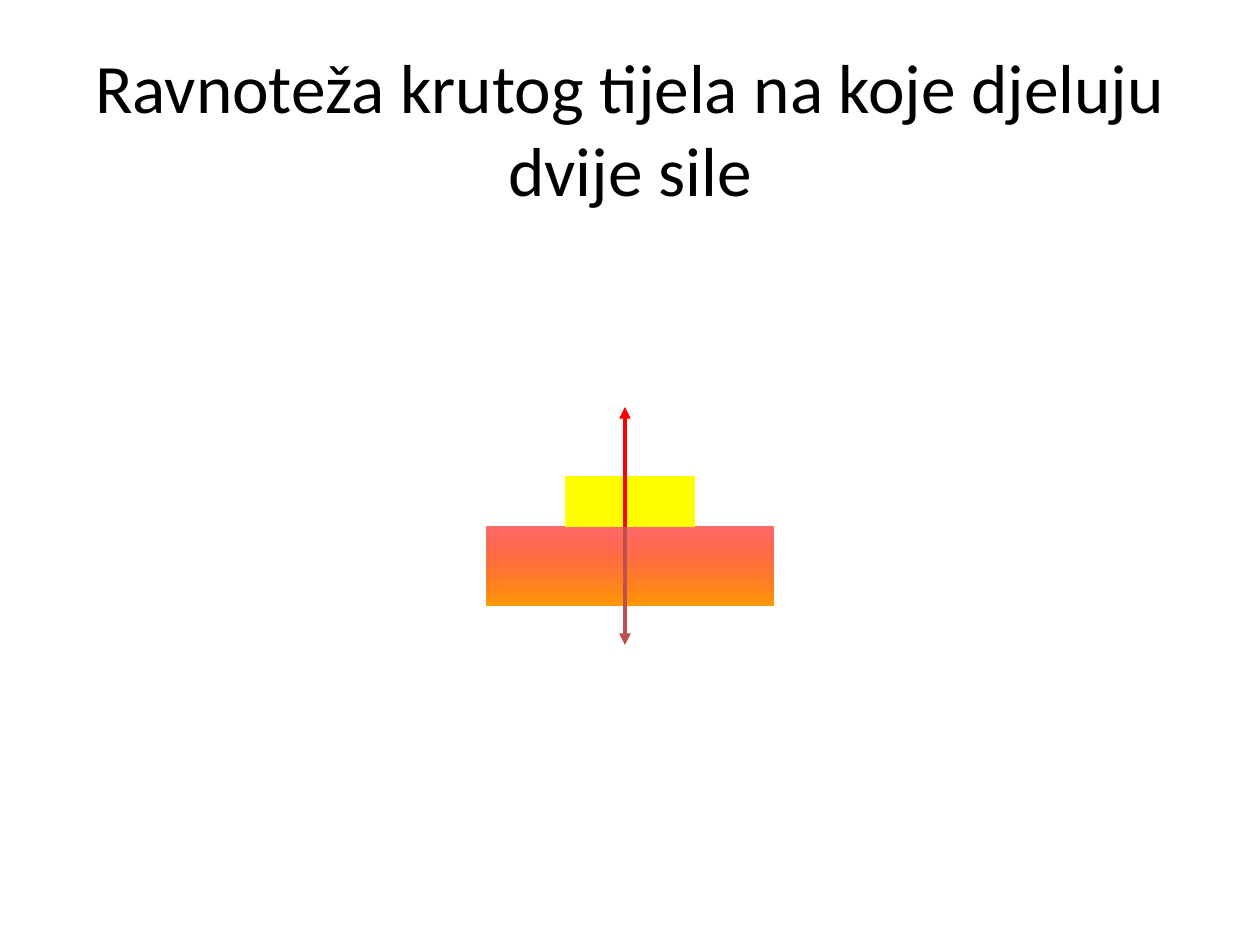
"""Build a slide on a rigid body in balance under two forces."""
from lxml import etree
from pptx import Presentation
from pptx.dml.color import RGBColor
from pptx.enum import shapes, text
from pptx.oxml.ns import qn
from pptx.util import Inches, Pt


def color(value):
    """Return the colour for a hex string."""
    return RGBColor.from_string(value)


def write(box, content, size=18, font="Calibri", fill="000000",
          align=text.PP_ALIGN.CENTER, anchor=text.MSO_ANCHOR.TOP):
    """Put one formatted paragraph into a box."""
    frame = box.text_frame
    frame.word_wrap = True
    frame.auto_size = text.MSO_AUTO_SIZE.NONE
    frame.vertical_anchor = anchor
    para = frame.paragraphs[0]
    para.alignment = align
    span = para.add_run()
    span.text = content
    span.font.size = Pt(size)
    span.font.name = font
    span.font.color.rgb = color(fill)


def add_title(page, content, left, top, width, height, **style):
    """Place and fill the title placeholder."""
    title = page.shapes.title
    title.left, title.top = Inches(left), Inches(top)
    title.width, title.height = Inches(width), Inches(height)
    write(title, content, **style)


def add_block(page, left, top, width, height):
    """Add a rectangle without shadow or outline."""
    block = page.shapes.add_shape(
        shapes.MSO_SHAPE.RECTANGLE,
        Inches(left), Inches(top), Inches(width), Inches(height))
    block.shadow.inherit = False
    block.line.fill.background()
    return block


def fill_gradient(block, upper, lower, upper_opacity):
    """Shade a block from a translucent top colour to its bottom colour."""
    block.fill.gradient()
    block.fill.gradient_angle = 270
    for stop, value, position in zip(block.fill.gradient_stops, (upper, lower), (0, 1)):
        stop.color.rgb = color(value)
        stop.position = position
    first = next(block.element.spPr.iter(qn("a:srgbClr")))
    etree.SubElement(first, qn("a:alpha"), val=str(upper_opacity * 1000))


def add_force(page, x, top, bottom, value, end):
    """Add a vertical force with its arrowhead at headEnd or tailEnd."""
    force = page.shapes.add_connector(
        shapes.MSO_CONNECTOR.STRAIGHT,
        Inches(x), Inches(top), Inches(x), Inches(bottom))
    force.line.width = Pt(2.25)
    force.line.color.rgb = color(value)
    etree.SubElement(force.line._get_or_add_ln(), qn("a:" + end), type="triangle")
    etree.SubElement(force.element.spPr, qn("a:effectLst"))


def main():
    """Build and save the slide."""
    deck = Presentation()
    deck.slide_width, deck.slide_height = Inches(10), Inches(7.5)
    page = deck.slides.add_slide(deck.slide_layouts[5])

    contact, force_x = 4.18, 4.96
    support = add_block(page, 3.86, contact, 2.28, 0.63)
    fill_gradient(support, "FF0000", "FF9900", 58)

    body = add_block(page, 4.49, 3.78, 1.02, 0.4)
    body.fill.solid()
    body.fill.fore_color.rgb = color("FFFF00")
    body.line.color.rgb = color("FFFF00")
    body.line.width = Pt(0.75)

    add_force(page, force_x, contact, 5.12, "C0504D", "tailEnd")
    add_force(page, force_x, 3.23, contact, "FF0000", "headEnd")
    add_title(page, "Ravnoteža krutog tijela na koje djeluju dvije sile",
              0.5, 0.3, 9, 1.25, size=39.6)
    deck.save("out.pptx")


if __name__ == "__main__":
    main()
